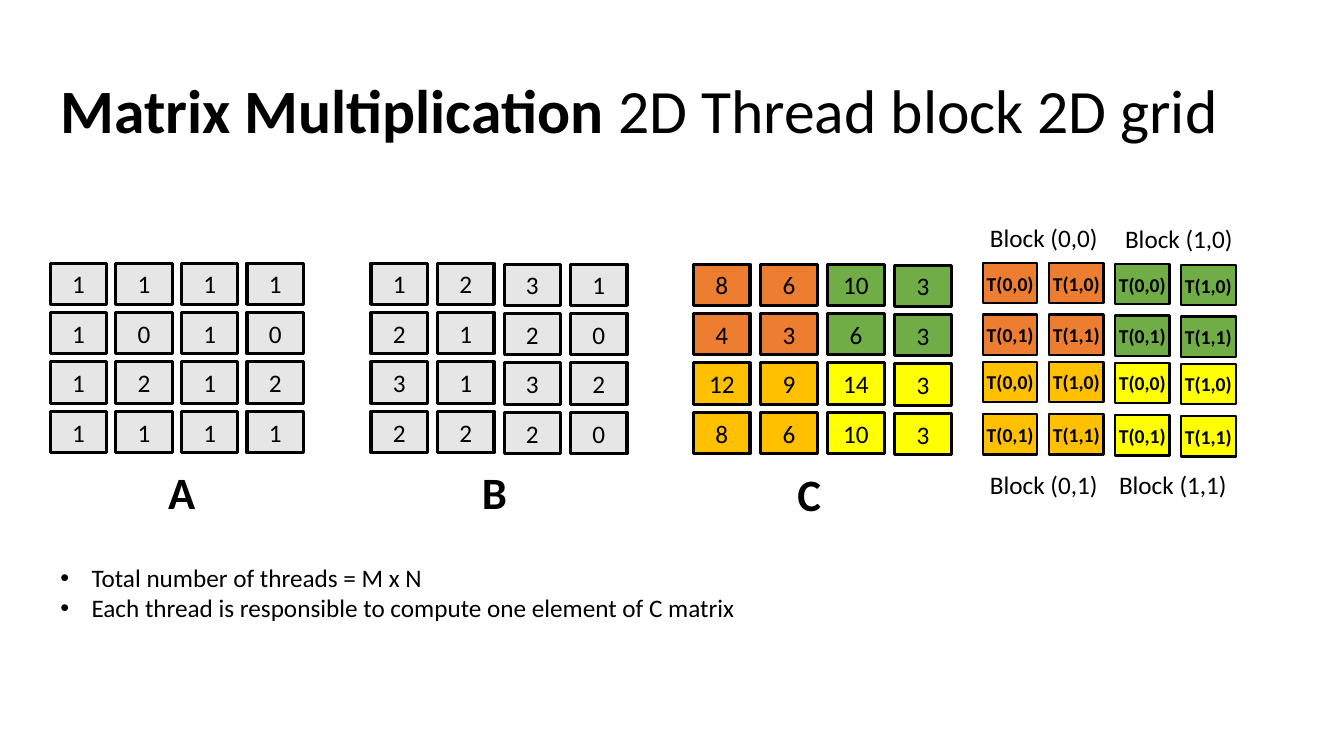
from dataclasses import dataclass

from lxml import etree
from pptx import Presentation
from pptx.dml.color import RGBColor
from pptx.enum import shapes, text
from pptx.oxml.ns import qn
from pptx.util import Inches, Pt

COLORS = {
    "black": "000000",
    "grey": "E7E6E6",
    "orange": "ED7D31",
    "gold": "FFC000",
    "green": "70AD47",
    "yellow": "FFFF00",
}
BLOCK_COLORS = (("orange", "green"), ("gold", "yellow"))


@dataclass(frozen=True)
class CellStyle:
    width: float
    height: float
    border: float
    size: int
    bold: bool
    side_margin: float


@dataclass(frozen=True)
class Grid:
    left: float
    column_step: float
    column_tops: tuple[float, ...]
    row_offsets: tuple[float, ...]
    values: tuple[tuple[str, ...], ...]
    style: CellStyle
    by_block: bool


@dataclass(frozen=True)
class Label:
    lines: tuple[str, ...]
    left: float
    top: float
    width: float
    height: float
    size: int = 18
    bold: bool = False
    wrap: bool = True
    bullets: bool = False


NUMBER_CELL = CellStyle(0.56, 0.41, 2.25, 18, False, 0.1)
THREAD_CELL = CellStyle(0.54, 0.4, 1.5, 14, True, 0)
NUMBER_ROWS = (0, 0.49, 0.98, 1.47)
THREAD_ROWS = (0, 0.51, 0.98, 1.5)
THREADS = tuple(
    tuple(f"T({column % 2},{row % 2})" for column in range(4)) for row in range(4)
)


def matrix(*rows: str) -> tuple[tuple[str, ...], ...]:
    return tuple(tuple(row.split()) for row in rows)


GRIDS = (
    Grid(9.75, 0.655, (2.61, 2.61, 2.62, 2.63), THREAD_ROWS, THREADS, THREAD_CELL, True),
    Grid(0.5, 0.65, (2.61, 2.61, 2.61, 2.61), NUMBER_ROWS,
         matrix("1 1 1 1", "1 0 1 0", "1 2 1 2", "1 1 1 1"), NUMBER_CELL, False),
    Grid(3.68, 0.66, (2.61, 2.61, 2.62, 2.62), NUMBER_ROWS,
         matrix("1 2 3 1", "2 1 2 0", "3 1 3 2", "2 2 2 0"), NUMBER_CELL, False),
    Grid(6.88, 0.665, (2.62, 2.62, 2.62, 2.63), NUMBER_ROWS,
         matrix("8 6 10 3", "4 3 6 3", "12 9 14 3", "8 6 10 3"), NUMBER_CELL, True),
)

LABELS = (
    Label(("Block (0,0)",), 9.72, 2.16, 1.32, 0.4),
    Label(("Block (1,0)",), 11.06, 2.17, 1.35, 0.4),
    Label(("Block (1,1)",), 11, 4.61, 1.35, 0.4),
    Label(("Block (0,1)",), 9.72, 4.61, 1.43, 0.4),
    Label(("A",), 1.57, 4.56, 0.47, 0.64, 32, True, False),
    Label(("B",), 4.68, 4.56, 0.45, 0.64, 32, True, False),
    Label(("C",), 7.81, 4.58, 0.45, 0.64, 32, True),
    Label(
        ("Total number of threads = M x N",
         "Each thread is responsible to compute one element of C matrix"),
        0.5, 5.53, 6.97, 0.71, wrap=False, bullets=True,
    ),
)


def rgb(name: str) -> RGBColor:
    return RGBColor.from_string(COLORS[name])


def apply(target, formats: dict) -> None:
    for name, value in formats.items():
        setattr(target, name, value)


def style_font(font, size: int, bold: bool) -> None:
    apply(font, {"name": "Calibri", "size": Pt(size), "bold": bold})
    font.color.rgb = rgb("black")


def add_bullet(para) -> None:
    properties = para._p.get_or_add_pPr()
    properties.set("marL", str(Inches(0.31)))
    properties.set("indent", str(Inches(-0.31)))
    bullet_font = etree.SubElement(properties, qn("a:buFont"))
    bullet_font.set("typeface", "Arial")
    bullet = etree.SubElement(properties, qn("a:buChar"))
    bullet.set("char", "•")


def add_title(page) -> None:
    title = page.shapes.title
    apply(title, {"left": Inches(0.5), "top": Inches(0.4),
                  "width": Inches(11.92), "height": Inches(1.45)})
    apply(title.text_frame, {"word_wrap": True,
                             "vertical_anchor": text.MSO_ANCHOR.MIDDLE})
    para = title.text_frame.paragraphs[0]
    apply(para, {"alignment": text.PP_ALIGN.LEFT, "line_spacing": 0.9})
    for words, bold in (("Matrix Multiplication ", True),
                        ("2D Thread block 2D grid", False)):
        span = para.add_run()
        span.text = words
        style_font(span.font, 44, bold)


def add_cell(page, style: CellStyle, left: float, top: float,
             words: str, color: str) -> None:
    cell = page.shapes.add_shape(
        shapes.MSO_SHAPE.RECTANGLE, Inches(left), Inches(top),
        Inches(style.width), Inches(style.height))
    cell.shadow.inherit = False
    cell.fill.solid()
    cell.fill.fore_color.rgb = rgb(color)
    cell.line.color.rgb = rgb("black")
    cell.line.width = Pt(style.border)
    apply(cell.text_frame, {"margin_left": Inches(style.side_margin),
                            "margin_right": Inches(style.side_margin),
                            "word_wrap": True,
                            "vertical_anchor": text.MSO_ANCHOR.MIDDLE})
    para = cell.text_frame.paragraphs[0]
    apply(para, {"text": words, "alignment": text.PP_ALIGN.CENTER})
    style_font(para.font, style.size, style.bold)


def add_grid(page, grid: Grid) -> None:
    for row, values in enumerate(grid.values):
        for column, words in enumerate(values):
            color = BLOCK_COLORS[row // 2][column // 2] if grid.by_block else "grey"
            left = grid.left + column * grid.column_step
            top = grid.column_tops[column] + grid.row_offsets[row]
            add_cell(page, grid.style, left, top, words, color)


def add_label(page, label: Label) -> None:
    box = page.shapes.add_textbox(Inches(label.left), Inches(label.top),
                                  Inches(label.width), Inches(label.height))
    frame = box.text_frame
    apply(frame, {"word_wrap": label.wrap,
                  "auto_size": text.MSO_AUTO_SIZE.SHAPE_TO_FIT_TEXT,
                  "text": "\n".join(label.lines)})
    for para in frame.paragraphs:
        if label.bullets:
            add_bullet(para)
        style_font(para.font, label.size, label.bold)


def main() -> None:
    deck = Presentation()
    apply(deck, {"slide_width": Inches(13.33), "slide_height": Inches(7.5)})
    page = deck.slides.add_slide(deck.slide_layouts.get_by_name("Title Only"))
    add_title(page)
    for grid in GRIDS:
        add_grid(page, grid)
    for label in LABELS:
        add_label(page, label)
    deck.save("out.pptx")


if __name__ == "__main__":
    main()
